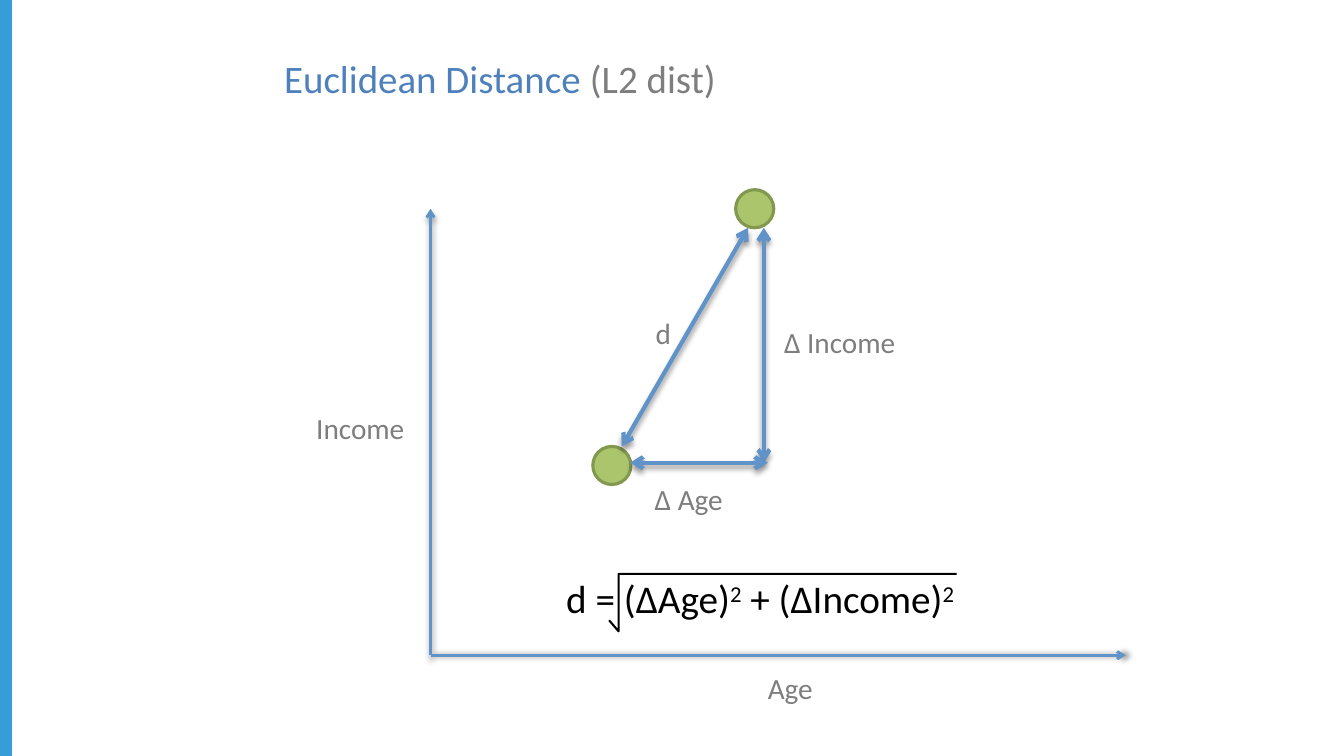
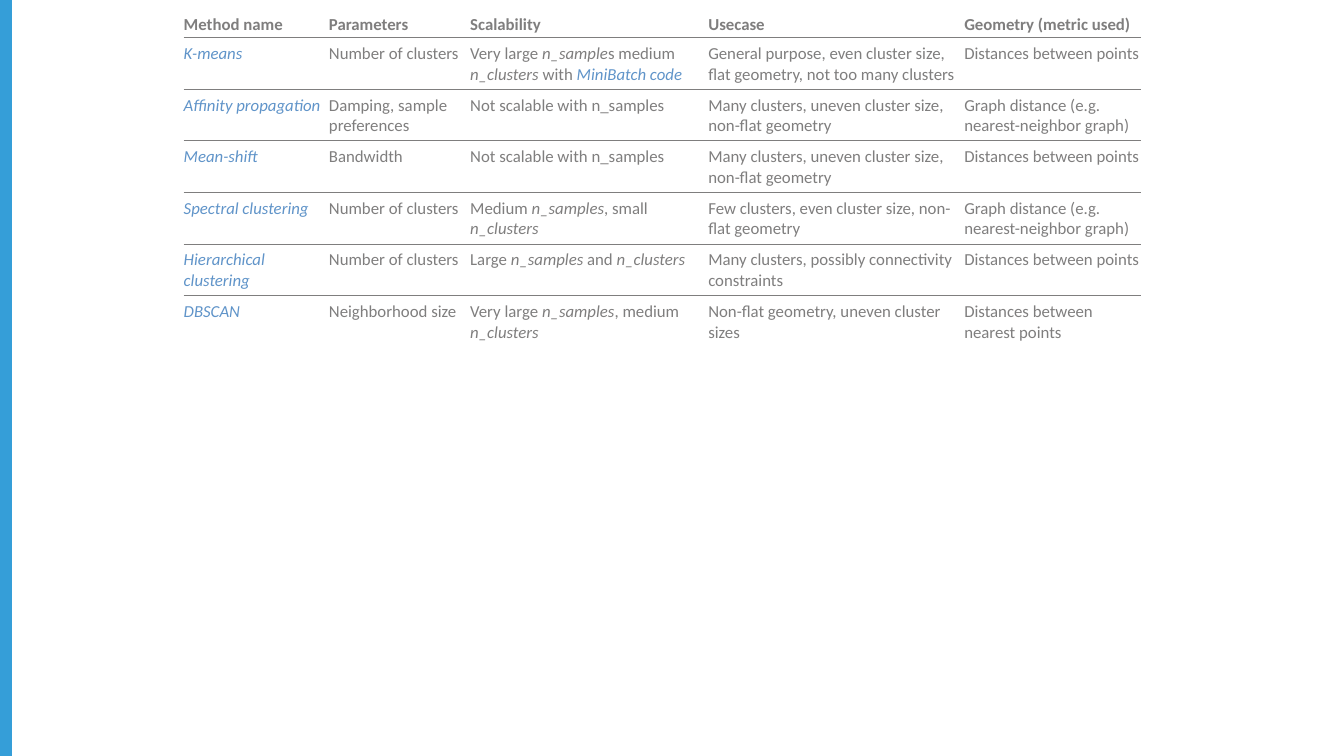
from dataclasses import dataclass
from typing import Any, NamedTuple, Sequence

from lxml import etree
from pptx import Presentation, util as u
from pptx.dml.color import RGBColor
from pptx.enum import shapes, text
from pptx.oxml import parse_xml
from pptx.oxml.ns import nsdecls, qn


# Theme
@dataclass(frozen=True)
class Theme:
    font: str = "Calibri"
    band: RGBColor = RGBColor(0x35, 0x9E, 0xD8)
    title: RGBColor = RGBColor(0x4E, 0x81, 0xBC)
    grey: RGBColor = RGBColor(0x7F, 0x7E, 0x7E)
    arrow: RGBColor = RGBColor(0x60, 0x94, 0xC9)
    dot: RGBColor = RGBColor(0xAA, 0xC5, 0x6C)
    dot_edge: RGBColor = RGBColor(0x83, 0x98, 0x4F)
    ink: RGBColor = RGBColor(0, 0, 0)
    title_pt: float = 27.8
    label_pt: float = 20.9
    formula_pt: float = 28
    table_pt: float = 12


T = Theme()
LABEL = {"size": u.Pt(T.label_pt), "color": T.grey}
CELL = {"size": u.Pt(T.table_pt), "color": T.grey}
ITALIC = {**CELL, "italic": True}
LINK = {**ITALIC, "color": T.arrow}
HEAD = {**CELL, "bold": True}
TITLE = {"size": u.Pt(T.title_pt), "color": T.title}
SUBTITLE = {**TITLE, "color": T.grey}
FORMULA = {"size": u.Pt(T.formula_pt), "color": T.ink}
POWER = {**FORMULA, "baseline": 30000}


# Elements, lengths in centimetres
class Run(NamedTuple):
    text: str
    fmt: dict[str, Any]


class Label(NamedTuple):
    left: float
    top: float
    width: float
    height: float
    runs: Sequence[Run]
    align: text.PP_ALIGN = text.PP_ALIGN.LEFT


class Arrow(NamedTuple):
    start: tuple[float, float]
    end: tuple[float, float]
    weight: float
    both_ends: bool = True
    shadow_deg: int = 90


# Drawing functions
def write(p: Any, runs: Sequence[Run]) -> None:
    for run in runs:
        r = p.add_run()
        r.text = run.text
        r.font.name = T.font
        for name, value in run.fmt.items():
            if name == "color":
                r.font.color.rgb = value
            elif name == "baseline":
                r._r.get_or_add_rPr().set("baseline", str(value))
            else:
                setattr(r.font, name, value)


def set_attrs(obj: Any, values: dict[str, Any]) -> None:
    for name, value in values.items():
        setattr(obj, name, value)


def add_label(slide: Any, label: Label) -> None:
    tb = slide.shapes.add_textbox(*(u.Cm(v) for v in label[:4]))
    tf = tb.text_frame
    set_attrs(tf, {"word_wrap": True, "margin_left": 0, "margin_top": 0,
                   "margin_right": 0, "margin_bottom": 0})
    p = tf.paragraphs[0]
    p.alignment = label.align
    write(p, label.runs)


def add_line(slide: Any, start: tuple[float, float], end: tuple[float, float],
             weight: float, color: RGBColor, effect: str = "") -> Any:
    c = slide.shapes.add_connector(shapes.MSO_CONNECTOR.STRAIGHT,
                                   *(u.Cm(v) for v in (*start, *end)))
    c.line.color.rgb = color
    c.line.width = u.Pt(weight)
    c._element.spPr.append(parse_xml(
        f'<a:effectLst {nsdecls("a")}>{effect}</a:effectLst>'))
    return c


def add_arrow(slide: Any, arrow: Arrow) -> None:
    shadow = (f'<a:outerShdw blurRad="{u.Pt(4)}" dist="{u.Pt(3)}" '
              f'dir="{arrow.shadow_deg * 60000}" rotWithShape="0">'
              '<a:srgbClr val="000000"><a:alpha val="40000"/></a:srgbClr>'
              '</a:outerShdw>')
    c = add_line(slide, arrow.start, arrow.end, arrow.weight, T.arrow, shadow)
    ln = c.line._get_or_add_ln()
    for tag in ("a:headEnd", "a:tailEnd") if arrow.both_ends else ("a:tailEnd",):
        etree.SubElement(ln, qn(tag), type="arrow")


def add_dot(slide: Any, left: float, top: float, size: float) -> None:
    sp = slide.shapes.add_shape(shapes.MSO_SHAPE.OVAL, u.Cm(left), u.Cm(top),
                                u.Cm(size), u.Cm(size))
    sp.shadow.inherit = False
    sp.fill.solid()
    sp.fill.fore_color.rgb = T.dot
    sp.line.color.rgb = T.dot_edge
    sp.line.width = u.Pt(2.25)


def add_root_sign(slide: Any, points: Sequence[tuple[float, float]]) -> None:
    (x, y), *rest = [(u.Cm(a), u.Cm(b)) for a, b in points]
    fb = slide.shapes.build_freeform(x, y)
    fb.add_line_segments(rest, close=False)
    sp = fb.convert_to_shape()
    sp.shadow.inherit = False
    sp.fill.background()
    sp.line.color.rgb = T.ink
    sp.line.width = u.Pt(1.5)


def add_band(prs: Any, slide: Any) -> None:
    """Put the side band on the master, behind every slide."""
    sp = slide.shapes.add_shape(shapes.MSO_SHAPE.RECTANGLE, 0, 0,
                                u.Cm(0.3), prs.slide_height)
    sp.shadow.inherit = False
    sp.fill.solid()
    sp.fill.fore_color.rgb = T.band
    sp.line.fill.background()
    sp._element.nvSpPr.cNvPr.set("id", "20")
    prs.slide_master.shapes._spTree.insert(2, sp._element)


def add_plain_table(slide: Any, left: float, top: float, widths: Sequence[float],
                    heights: Sequence[float],
                    rows: Sequence[Sequence[Sequence[Run]]]) -> None:
    frame = slide.shapes.add_table(
        len(rows), len(widths), u.Cm(left), u.Cm(top),
        u.Cm(sum(widths)), u.Cm(sum(heights)))
    tbl = frame.table
    set_attrs(tbl, {"first_row": False, "horz_banding": False})
    style = tbl._tbl.tblPr.find(qn("a:tableStyleId"))
    style.text = "{2D5ABB26-0587-4C30-8999-92F81FD0307C}"
    for col, width in zip(tbl.columns, widths):
        col.width = u.Cm(width)
    for i, (row, height) in enumerate(zip(rows, heights)):
        tbl.rows[i].height = u.Cm(height)
        header = i == 0
        for j, runs in enumerate(row):
            cell = tbl.cell(i, j)
            set_attrs(cell, {
                "margin_left": 0,
                "margin_right": 0 if j == len(widths) - 1 else u.Cm(0.13),
                "margin_top": 0 if header else u.Cm(0.13),
                "margin_bottom": u.Cm(0.08) if header else 0,
                "vertical_anchor": (text.MSO_ANCHOR.BOTTOM if header
                                    else text.MSO_ANCHOR.TOP)})
            cell.fill.background()
            write(cell.text_frame.paragraphs[0], runs)


# Slide 1: distance diagram
ORIGIN = (10.85, 16.51)
CORNER_Y = 11.66
DOT_SIZE = 0.96
DOTS = [(18.54, 4.78), (14.94, 11.25)]
ARROWS = [
    Arrow(ORIGIN, (ORIGIN[0], 5.26), 2, both_ends=False),
    Arrow(ORIGIN, (28.37, ORIGIN[1]), 2, both_ends=False, shadow_deg=0),
    Arrow((18.85, 5.74), (15.67, 11.25), 3),
    Arrow((19.25, 5.74), (19.25, CORNER_Y), 3),
    Arrow((19.35, CORNER_Y), (15.88, CORNER_Y), 3),
]
LABELS = [
    Label(7.16, 1.38, 21.87, 1.37, [Run("Euclidean Distance ", TITLE),
                                    Run("(L2 dist)", SUBTITLE)]),
    Label(7.97, 10.34, 2.77, 0.91, [Run("Income", LABEL)]),
    Label(19.35, 16.9, 1.5, 0.91, [Run("Age", LABEL)]),
    Label(19.76, 8.16, 3.35, 0.91, [Run("∆ Income", LABEL)]),
    Label(15.79, 7.94, 1.12, 0.91, [Run("d", LABEL)], text.PP_ALIGN.RIGHT),
    Label(16.5, 12.12, 2.16, 0.91, [Run("∆ Age", LABEL)]),
    Label(14.27, 14.48, 10.69, 1.19, [
        Run("d = (∆Age)", FORMULA), Run("2", POWER),
        Run(" + (∆Income)", FORMULA), Run("2", POWER)]),
]
ROOT_SIGN = [(15.35, 15.63), (15.59, 15.91), (15.59, 14.46), (24.11, 14.46)]


def draw_distance(slide: Any) -> None:
    for left, top in DOTS:
        add_dot(slide, left, top, DOT_SIZE)
    for arrow in ARROWS:
        add_arrow(slide, arrow)
    for label in LABELS:
        add_label(slide, label)
    add_root_sign(slide, ROOT_SIGN)


# Slide 2: comparison of methods
class Method(NamedTuple):
    name: str
    parameters: str
    scalability: Sequence[Run]
    usecase: str
    geometry: str

    def cells(self) -> list[Sequence[Run]]:
        return [[Run(self.name, LINK)], [Run(self.parameters, CELL)],
                self.scalability, [Run(self.usecase, CELL)],
                [Run(self.geometry, CELL)]]


TABLE_LEFT, TABLE_TOP = 4.63, 0.3
HEAD_HEIGHT, ROW_HEIGHT, FIRST_RULE = 0.67, 1.3, 0.95
WIDTHS = [3.66, 3.56, 6.0, 6.45, 4.45]
COUNT = "Number of clusters"
POINTS = "Distances between points"
GRAPH = "Graph distance (e.g. nearest-neighbor graph)"
UNEVEN = "Many clusters, uneven cluster size, non-flat geometry"
NOT_SCALABLE = [Run("Not scalable with n_samples", CELL)]
SAMPLES, CLUSTERS = Run("n_samples", ITALIC), Run("n_clusters", ITALIC)
HEADINGS = ["Method name", "Parameters", "Scalability", "Usecase",
            "Geometry (metric used)"]
METHODS = [
    Method("K-means", COUNT,
           [Run("Very large ", CELL), Run("n_sample", ITALIC),
            Run("s medium ", CELL), CLUSTERS, Run(" with ", CELL),
            Run("MiniBatch code", LINK)],
           "General purpose, even cluster size, flat geometry, "
           "not too many clusters", POINTS),
    Method("Affinity propagation", "Damping, sample preferences",
           NOT_SCALABLE, UNEVEN, GRAPH),
    Method("Mean-shift", "Bandwidth", NOT_SCALABLE, UNEVEN, POINTS),
    Method("Spectral clustering", COUNT,
           [Run("Medium ", CELL), SAMPLES, Run(", small ", CELL), CLUSTERS],
           "Few clusters, even cluster size, non-flat geometry", GRAPH),
    Method("Hierarchical clustering", COUNT,
           [Run("Large ", CELL), SAMPLES, Run(" and ", CELL), CLUSTERS],
           "Many clusters, possibly connectivity constraints", POINTS),
    Method("DBSCAN", "Neighborhood size",
           [Run("Very large ", CELL), SAMPLES, Run(", medium ", CELL), CLUSTERS],
           "Non-flat geometry, uneven cluster sizes",
           "Distances between nearest points"),
]


def draw_methods(slide: Any) -> None:
    rows = [[[Run(h, HEAD)] for h in HEADINGS], *(m.cells() for m in METHODS)]
    add_plain_table(slide, TABLE_LEFT, TABLE_TOP, WIDTHS,
                    [HEAD_HEIGHT] + [ROW_HEIGHT] * len(METHODS), rows)
    for i in range(len(METHODS)):
        y = FIRST_RULE + i * ROW_HEIGHT
        add_line(slide, (TABLE_LEFT, y), (TABLE_LEFT + sum(WIDTHS), y),
                 0.75, T.grey)


def main() -> None:
    prs = Presentation()
    prs.slide_width, prs.slide_height = u.Cm(33.87), u.Cm(19.05)
    blank = prs.slide_layouts[6]
    distance, methods = (prs.slides.add_slide(blank) for _ in range(2))
    add_band(prs, distance)
    draw_distance(distance)
    draw_methods(methods)
    prs.save("out.pptx")


if __name__ == "__main__":
    main()
